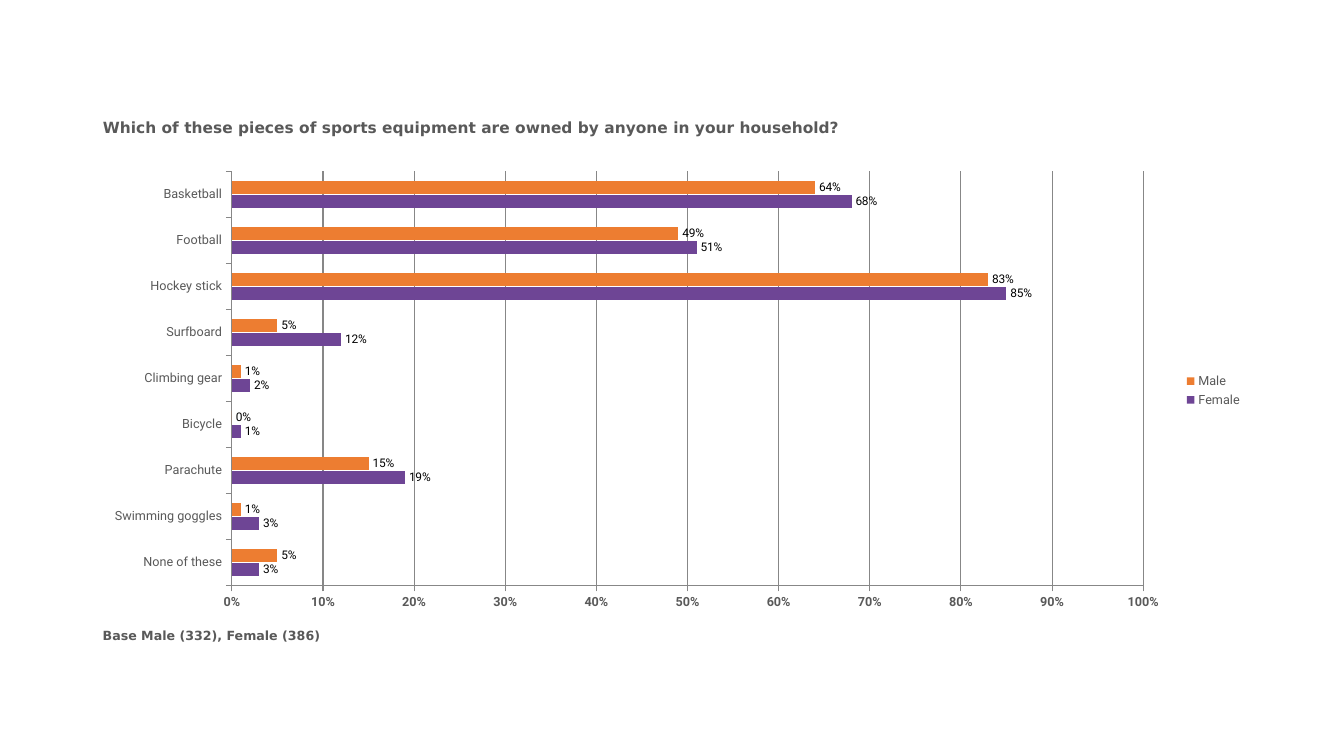
"""Build a slide with a clustered bar chart of sports equipment ownership."""
from lxml.etree import SubElement
from pptx import Presentation
from pptx.chart.data import CategoryChartData
from pptx.dml.color import RGBColor
from pptx.enum.chart import XL_CHART_TYPE as ChartType, XL_LABEL_POSITION as LabelPosition
from pptx.enum.chart import XL_LEGEND_POSITION as LegendPosition, XL_TICK_LABEL_POSITION as TickLabels
from pptx.enum.chart import XL_TICK_MARK as TickMark
from pptx.enum.text import MSO_ANCHOR as Anchor, MSO_AUTO_SIZE as AutoSize, PP_ALIGN as Align
from pptx.oxml.ns import qn
from pptx.util import Inches, Pt

EQUIPMENT = ["None of these", "Swimming goggles", "Parachute", "Bicycle", "Climbing gear",
             "Surfboard", "Hockey stick", "Football", "Basketball"]
OWNERSHIP = {
    "Female": ("6E4595", [0.03, 0.03, 0.19, 0.01, 0.02, 0.12, 0.85, 0.51, 0.68]),
    "Male": ("ED7D31", [0.05, 0.01, 0.15, 0, 0.01, 0.05, 0.83, 0.49, 0.64]),
}
LEFT, WIDTH = 0.92, 11.5


def color(value):
    return RGBColor.from_string(value)


def format_font(font, size=9, name="Roboto", fill="595959", bold=False):
    font.size, font.name, font.bold = Pt(size), name, bold
    font.color.rgb = color(fill)


def write_text(shape, text, **style):
    frame = shape.text_frame
    frame.word_wrap = True
    frame.auto_size = AutoSize.NONE
    frame.vertical_anchor = Anchor.TOP
    frame.margin_left = frame.margin_right = Inches(0.1)
    frame.margin_top = frame.margin_bottom = Inches(0.05)
    para = frame.paragraphs[0]
    para.alignment = Align.LEFT
    para.line_spacing = 1.0
    para.space_before = Pt(0)
    span = para.add_run()
    span.text = text
    format_font(span.font, **style)


class SlideBuilder:
    heading_font = "DejaVu Sans"
    line_color = "878787"

    def __init__(self, deck):
        self.page = deck.slides.add_slide(deck.slide_layouts[5])

    def title(self, text, top, height, size):
        box = self.page.shapes.title
        box.left, box.top = Inches(LEFT), Inches(top)
        box.width, box.height = Inches(WIDTH), Inches(height)
        write_text(box, text, size=size, name=self.heading_font, bold=True)

    def note(self, text, top, height, size):
        box = self.page.shapes.add_textbox(Inches(LEFT), Inches(top), Inches(WIDTH), Inches(height))
        write_text(box, text, size=size, name=self.heading_font, bold=True)

    def style_line(self, line):
        line.color.rgb = color(self.line_color)
        line.width = Pt(0.75)

    def style_axis(self, axis, bold=False):
        axis.tick_label_position = TickLabels.LOW
        axis.major_tick_mark = TickMark.OUTSIDE
        axis.minor_tick_mark = TickMark.NONE
        self.style_line(axis.format.line)
        format_font(axis.tick_labels.font, bold=bold)

    def place_plot(self, chart, **fractions):
        area = chart.plots[0]._element.getparent()
        for old in area.findall(qn("c:layout")):
            area.remove(old)
        layout = SubElement(area, qn("c:layout"))
        area.insert(0, layout)
        manual = SubElement(layout, qn("c:manualLayout"))
        settings = {"layoutTarget": "inner", "xMode": "edge", "yMode": "edge", **fractions}
        for tag, value in settings.items():
            SubElement(manual, qn(f"c:{tag}")).set("val", str(value))

    def bar_chart(self, categories, groups, top, height):
        data = CategoryChartData(number_format="0%")
        data.categories = categories
        for name, (_, values) in groups.items():
            data.add_series(name, values)
        chart = self.page.shapes.add_chart(
            ChartType.BAR_CLUSTERED, Inches(LEFT), Inches(top), Inches(WIDTH), Inches(height), data).chart
        chart.has_title = False
        format_font(chart.font, size=18, name="Calibri", fill="000000")
        plot = chart.plots[0]
        plot.gap_width, plot.overlap, plot.vary_by_categories = 150, -10, False
        for series, (fill, _) in zip(plot.series, groups.values()):
            series.format.fill.solid()
            series.format.fill.fore_color.rgb = color(fill)
            series.invert_if_negative = False
            labels = series.data_labels
            labels.show_value = True
            labels.position = LabelPosition.OUTSIDE_END
            labels.number_format, labels.number_format_is_linked = "0%", False
            format_font(labels.font, size=8.5, fill="000000")
        self.style_axis(chart.category_axis)
        scale = chart.value_axis
        self.style_axis(scale, bold=True)
        scale.minimum_scale, scale.maximum_scale, scale.major_unit = 0, 1, 0.1
        scale.tick_labels.number_format, scale.tick_labels.number_format_is_linked = "0%", False
        scale.has_major_gridlines = True
        self.style_line(scale.major_gridlines.format.line)
        chart.has_legend = True
        chart.legend.position = LegendPosition.RIGHT
        chart.legend.include_in_layout = False
        format_font(chart.legend.font)
        self.place_plot(chart, x=0.12, y=0.02, w=0.786, h=0.907)


deck = Presentation()
deck.slide_width, deck.slide_height = Inches(13.33), Inches(7.5)
builder = SlideBuilder(deck)
builder.title("Which of these pieces of sports equipment are owned by anyone in your household?",
              top=1.12, height=0.51, size=11)
builder.note("Base Male (332), Female (386)", top=6.18, height=0.43, size=9)
builder.bar_chart(EQUIPMENT, OWNERSHIP, top=1.61, height=4.53)
deck.save("out.pptx")
